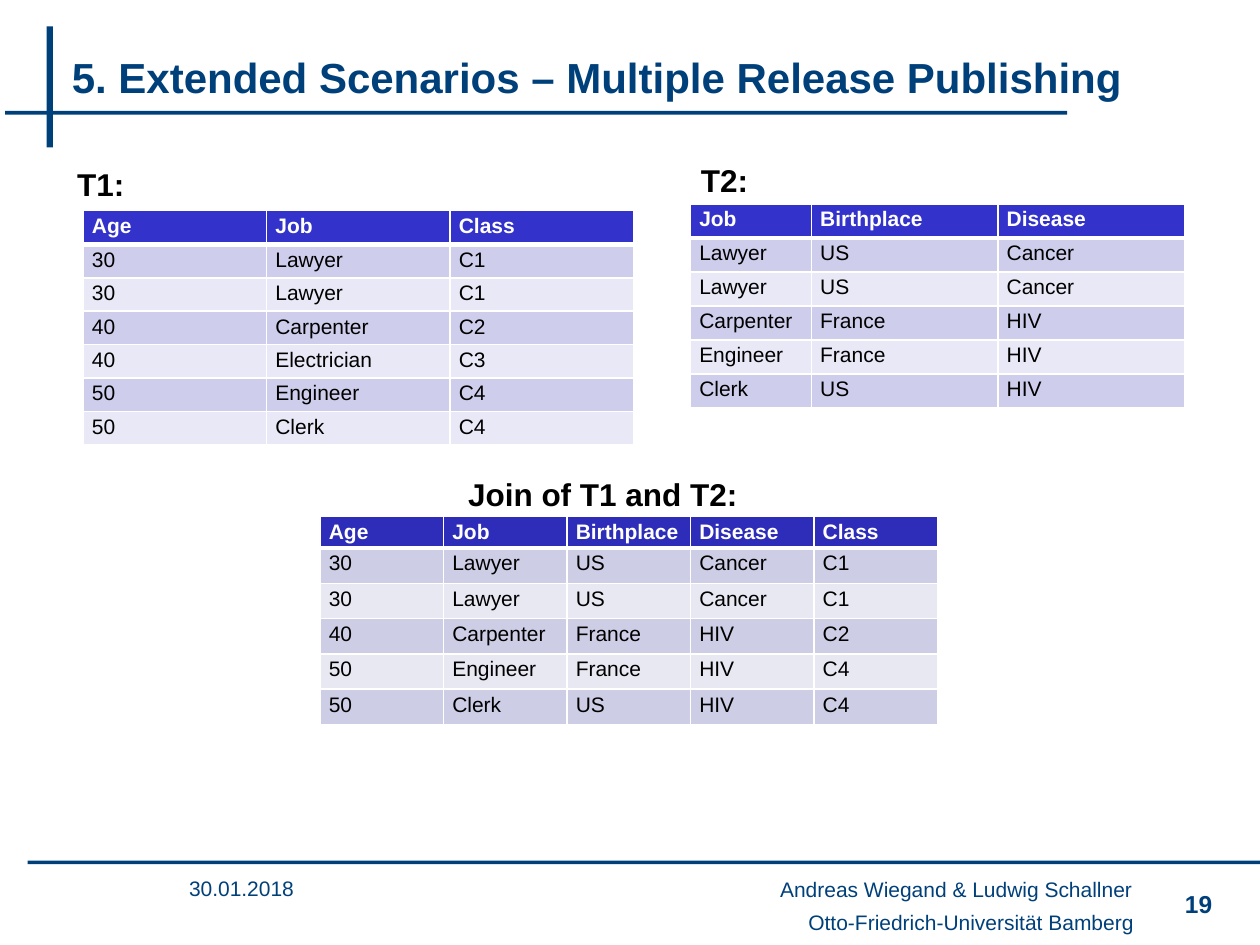
from dataclasses import dataclass

from lxml.etree import SubElement
from pptx import Presentation
from pptx.dml.color import RGBColor
from pptx.enum.shapes import MSO_SHAPE as Shape
from pptx.enum.text import MSO_ANCHOR as Anchor, MSO_AUTO_SIZE as AutoSize, PP_ALIGN as Align
from pptx.oxml.ns import qn
from pptx.util import Inches, Pt

NAVY, WHITE, BLACK = "00407A", "FFFFFF", "000000"
FOOTER_INSETS = (0.04, 0.05, 0.02, 0.05)
DEFAULT_INSETS = (0.1, 0.05, 0.1, 0.05)
CELL_INSETS = (0.07, 0.03, 0.07, 0.03)


@dataclass
class Bar:
    left: float
    top: float
    width: float
    height: float


@dataclass
class Label:
    text: str
    left: float
    top: float
    width: float
    height: float
    size: int
    color: str = NAVY
    bold: bool = False
    align: Align = Align.LEFT
    anchor: Anchor = Anchor.TOP
    insets: tuple[float, ...] = DEFAULT_INSETS
    wrap: bool = True


@dataclass
class DataTable:
    left: float
    top: float
    column_widths: list[float]
    header_height: float
    row_height: float
    fills: tuple[str, str, str]
    rows: list[str]


BARS = [
    Bar(0.37, 0.21, 0.05, 0.96),
    Bar(0.04, 0.88, 8.43, 0.03),
    Bar(0.22, 6.83, 9.78, 0.03),
]

TITLE = Label("5. Extended Scenarios – Multiple Release Publishing",
              0.47, 0.29, 8.62, 0.63, 24, bold=True, anchor=Anchor.MIDDLE, wrap=False)

FOOTER = {"size": 12, "anchor": Anchor.MIDDLE, "insets": FOOTER_INSETS}
HEADING = {"size": 18, "color": BLACK, "bold": True, "align": Align.CENTER}
LABELS = [
    Label("Otto-Friedrich-Universität Bamberg", 2.17, 7.14, 6.85, 0.36,
          align=Align.RIGHT, **FOOTER),
    Label("30.01.2018", 1.46, 6.79, 1.42, 0.52, **FOOTER),
    Label("Andreas Wiegand & Ludwig Schallner", 3.01, 6.9, 6, 0.32,
          align=Align.RIGHT, **FOOTER),
    Label("19", 9.2, 7.01, 0.52, 0.36, 14, bold=True, align=Align.RIGHT),
    Label("T1:", 0.29, 1.26, 1.02, 0.4, **HEADING),
    Label("T2:", 5.24, 1.23, 1.02, 0.4, **HEADING),
    Label("Join of T1 and T2:", 3.18, 3.72, 3.21, 0.4, **HEADING),
]

SOURCE_FILLS = ("3333CC", "CECEEC", "E8E8F6")
JOIN_FILLS = ("2D2DB9", "CDCDE6", "E8E8F3")
TABLES = [
    DataTable(0.66, 1.67, [1.456] * 3, 0.27, 0.265, SOURCE_FILLS, [
        "Age Job Class",
        "30 Lawyer C1",
        "30 Lawyer C1",
        "40 Carpenter C2",
        "40 Electrician C3",
        "50 Engineer C4",
        "50 Clerk C4",
    ]),
    DataTable(5.48, 1.62, [0.96, 1.48, 1.48], 0.27, 0.27, SOURCE_FILLS, [
        "Job Birthplace Disease",
        "Lawyer US Cancer",
        "Lawyer US Cancer",
        "Carpenter France HIV",
        "Engineer France HIV",
        "Clerk US HIV",
    ]),
    DataTable(2.54, 4.1, [0.98] * 5, 0.25, 0.28, JOIN_FILLS, [
        "Age Job Birthplace Disease Class",
        "30 Lawyer US Cancer C1",
        "30 Lawyer US Cancer C1",
        "40 Carpenter France HIV C2",
        "50 Engineer France HIV C4",
        "50 Clerk US HIV C4",
    ]),
]


def rgb(color: str) -> RGBColor:
    return RGBColor.from_string(color)


def set_all(target, values: dict) -> None:
    for name, value in values.items():
        setattr(target, name, value)


def set_insets(target, insets: tuple[float, ...]) -> None:
    sides = ("margin_left", "margin_top", "margin_right", "margin_bottom")
    set_all(target, dict(zip(sides, map(Inches, insets))))


def write(para, text: str, size: int, color: str, bold: bool, align: Align) -> None:
    para.alignment = align
    span = para.add_run()
    span.text = text
    set_all(span.font, {"name": "Arial", "size": Pt(size), "bold": bold})
    span.font.color.rgb = rgb(color)


def fill_label(box, label: Label) -> None:
    frame = box.text_frame
    set_all(frame, {"word_wrap": label.wrap, "auto_size": AutoSize.NONE,
                    "vertical_anchor": label.anchor})
    set_insets(frame, label.insets)
    write(frame.paragraphs[0], label.text, label.size, label.color, label.bold, label.align)


def draw_title(page, label: Label) -> None:
    box = page.shapes.title
    set_all(box, {name: Inches(getattr(label, name))
                  for name in ("left", "top", "width", "height")})
    fill_label(box, label)


def draw_label(page, label: Label) -> None:
    box = page.shapes.add_textbox(Inches(label.left), Inches(label.top),
                                  Inches(label.width), Inches(label.height))
    fill_label(box, label)


def draw_bar(page, bar: Bar) -> None:
    box = page.shapes.add_shape(Shape.RECTANGLE, Inches(bar.left), Inches(bar.top),
                                Inches(bar.width), Inches(bar.height))
    box.shadow.inherit = False
    box.fill.solid()
    box.fill.fore_color.rgb = rgb(NAVY)
    box.line.fill.background()


def set_borders(cell, widths: dict[str, int]) -> None:
    properties = cell._tc.get_or_add_tcPr()
    for side, width in widths.items():
        line = SubElement(properties, qn(f"a:ln{side}"), w=str(Pt(width)))
        SubElement(SubElement(line, qn("a:solidFill")), qn("a:srgbClr"), val=WHITE)


def draw_table(page, data: DataTable) -> None:
    heights = [data.header_height] + [data.row_height] * (len(data.rows) - 1)
    table = page.shapes.add_table(
        len(heights), len(data.column_widths), Inches(data.left), Inches(data.top),
        Inches(sum(data.column_widths)), Inches(sum(heights))).table
    for column, width in zip(table.columns, data.column_widths):
        column.width = Inches(width)
    header_fill, odd_fill, even_fill = data.fills
    for index, (row, height, line) in enumerate(zip(table.rows, heights, data.rows)):
        row.height = Inches(height)
        header = index == 0
        fill = header_fill if header else odd_fill if index % 2 else even_fill
        borders = {"L": 1, "R": 1, "T": 3 if index == 1 else 1, "B": 3 if header else 1}
        for cell, text in zip(row.cells, line.split()):
            set_insets(cell, CELL_INSETS)
            set_borders(cell, borders)
            cell.fill.solid()
            cell.fill.fore_color.rgb = rgb(fill)
            write(cell.text_frame.paragraphs[0], text, 12,
                  WHITE if header else BLACK, header, Align.LEFT)


def main() -> None:
    deck = Presentation()
    set_all(deck, {"slide_width": Inches(10), "slide_height": Inches(7.5)})
    page = deck.slides.add_slide(deck.slide_layouts[5])
    draw_title(page, TITLE)
    for bar in BARS:
        draw_bar(page, bar)
    for data in TABLES:
        draw_table(page, data)
    for label in LABELS:
        draw_label(page, label)
    deck.save("out.pptx")


if __name__ == "__main__":
    main()
